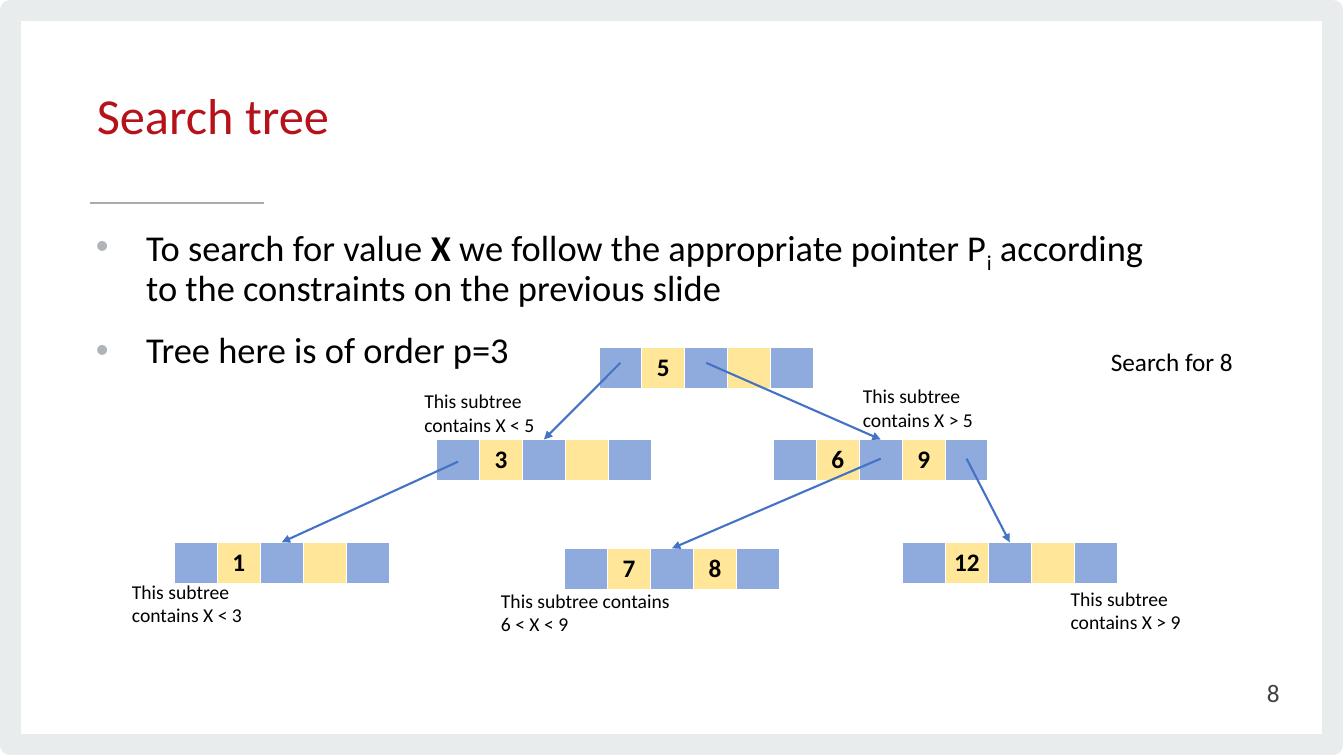
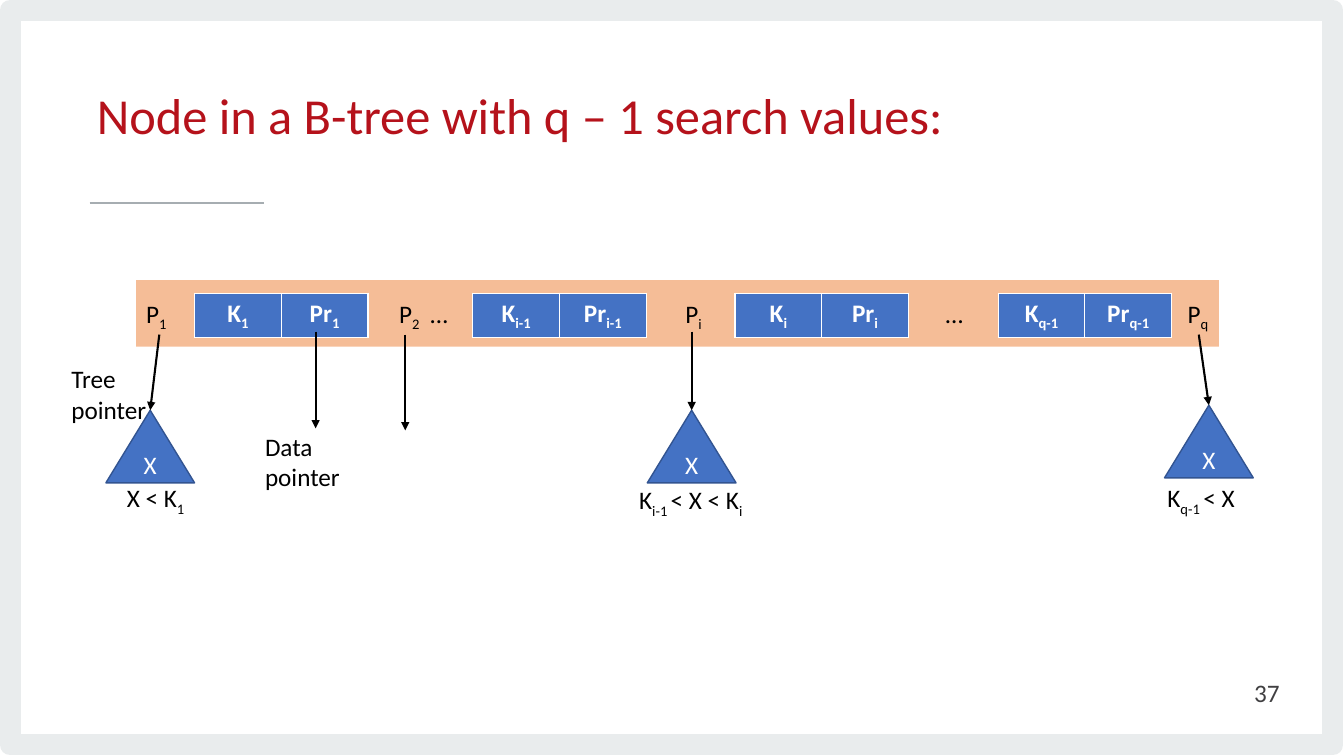
from lxml import etree
from pptx import Presentation
from pptx.dml.color import RGBColor
from pptx.enum.shapes import MSO_CONNECTOR, MSO_SHAPE
from pptx.enum.text import MSO_ANCHOR, MSO_AUTO_SIZE, PP_ALIGN
from pptx.oxml.ns import qn
from pptx.util import Inches, Pt

FONT = "Calibri"
BLACK = RGBColor(0x00, 0x00, 0x00)
WHITE = RGBColor(0xFF, 0xFF, 0xFF)
TITLE_RED = RGBColor(0xB5, 0x12, 0x1B)
FRAME_GREY = RGBColor(0xE9, 0xEC, 0xED)
RULE_GREY = RGBColor(0xA6, 0xAD, 0xB1)
NUMBER_GREY = RGBColor(0x41, 0x40, 0x42)
BULLET_GREY = RGBColor(0xAE, 0xB4, 0xB9)
BLUE = RGBColor(0x44, 0x72, 0xC4)
DARK_BLUE = RGBColor(0x32, 0x54, 0x91)
POINTER_BLUE = RGBColor(0x8F, 0xAA, 0xDC)
KEY_YELLOW = RGBColor(0xFF, 0xE6, 0x99)
ORANGE = RGBColor(0xED, 0x7D, 0x31)

TITLE_AND_CONTENT, TITLE_ONLY = 1, 5
NODE_WIDTH, ROW_HEIGHT = 2.13, 0.41
CELL_WIDTH = NODE_WIDTH / 5
PAIR_WIDTH, PAIR_TOP = 1.72, 2.91


# Text
def write(paragraph, text):
    """Add text to a paragraph; parts between bars are subscripts."""
    for index, part in enumerate(text.split("|")):
        if part:
            run = paragraph.add_run()
            run.text = part
            if index % 2:
                run._r.get_or_add_rPr().set("baseline", "-25000")


def style(paragraph, size=18, color=BLACK, align=PP_ALIGN.LEFT, bold=None):
    paragraph.alignment = align
    font = paragraph.font
    font.name, font.size, font.bold = FONT, Pt(size), bold
    font.color.rgb = color


def place(shape, left, top, width, height):
    shape.left, shape.top = Inches(left), Inches(top)
    shape.width, shape.height = Inches(width), Inches(height)


def add_label(slide, left, top, width, height, text, size=18, wrap=True):
    label = slide.shapes.add_textbox(
        Inches(left), Inches(top), Inches(width), Inches(height))
    frame = label.text_frame
    frame.word_wrap = wrap
    frame.auto_size = MSO_AUTO_SIZE.SHAPE_TO_FIT_TEXT
    write(frame.paragraphs[0], text)
    style(frame.paragraphs[0], size)


def add_bullet(paragraph):
    properties = paragraph._p.get_or_add_pPr()
    properties.set("marL", str(Inches(0.5)))
    properties.set("indent", str(-Inches(0.5)))
    color = etree.SubElement(properties, qn("a:buClr"))
    etree.SubElement(color, qn("a:srgbClr"), val=str(BULLET_GREY))
    etree.SubElement(properties, qn("a:buChar"), char="•")
    paragraph.line_spacing = 0.9
    paragraph.space_after = Pt(6)


# Lines and shapes
def add_line(slide, start, end, color, width):
    line = slide.shapes.add_connector(
        MSO_CONNECTOR.STRAIGHT, *(Inches(value) for value in (*start, *end)))
    line.line.color.rgb = color
    line.line.width = Pt(width)
    etree.SubElement(line._element.spPr, qn("a:effectLst"))
    return line


def add_arrow(slide, start, end, color):
    arrow = add_line(slide, start, end, color, 1.5)
    etree.SubElement(arrow.line._get_or_add_ln(), qn("a:tailEnd"), type="triangle")
    return arrow


def add_plain_shape(slide, kind, left, top, width, height, fill=None):
    shape = slide.shapes.add_shape(
        kind, Inches(left), Inches(top), Inches(width), Inches(height))
    shape.shadow.inherit = False
    if fill is None:
        shape.fill.background()
    else:
        shape.fill.solid()
        shape.fill.fore_color.rgb = fill
    return shape


def add_subtree(slide, left, top):
    subtree = add_plain_shape(
        slide, MSO_SHAPE.ISOSCELES_TRIANGLE, left, top, 0.88, 0.72, BLUE)
    subtree.line.color.rgb = DARK_BLUE
    subtree.line.width = Pt(1)
    subtree.text_frame.vertical_anchor = MSO_ANCHOR.MIDDLE
    paragraph = subtree.text_frame.paragraphs[0]
    write(paragraph, "X")
    style(paragraph, color=WHITE, align=PP_ALIGN.CENTER)
    return subtree


# One-row tables
def add_row(slide, left, top, width, texts, fills, color, margin):
    table = slide.shapes.add_table(
        1, len(texts), Inches(left), Inches(top), Inches(width),
        Inches(ROW_HEIGHT)).table
    table.horz_banding = False
    for cell, text, fill in zip(table.rows[0].cells, texts, fills):
        cell.fill.solid()
        cell.fill.fore_color.rgb = fill
        cell.margin_left = cell.margin_right = Inches(margin)
        paragraph = cell.text_frame.paragraphs[0]
        write(paragraph, text)
        style(paragraph, color=color, align=PP_ALIGN.CENTER, bold=True)


def add_tree_node(slide, left, top, first, second):
    fills = [POINTER_BLUE, KEY_YELLOW] * 2 + [POINTER_BLUE]
    add_row(slide, left, top, NODE_WIDTH, ["", first, "", second, ""],
            fills, BLACK, 0.02)


# Shared parts
def decorate_master(presentation, slide):
    frame = add_plain_shape(slide, MSO_SHAPE.RECTANGLE, 0.1, 0.1, 13.12, 7.29)
    frame.line.color.rgb = FRAME_GREY
    frame.line.width = Pt(15.11)
    rule = add_line(slide, (0.89, 2.01), (2.62, 2.01), RULE_GREY, 1.33)
    for shared in (frame, rule):
        presentation.slide_master.shapes._spTree.append(shared._element)


def add_slide(presentation, layout, title, number):
    slide = presentation.slides.add_slide(presentation.slide_layouts[layout])
    heading = slide.shapes.title
    place(heading, 0.86, 0.52, 8.79, 1.34)
    heading.text_frame.auto_size = MSO_AUTO_SIZE.NONE
    heading.text_frame.vertical_anchor = MSO_ANCHOR.MIDDLE
    paragraph = heading.text_frame.paragraphs[0]
    write(paragraph, title)
    paragraph.line_spacing = Pt(34.7)
    style(paragraph, 36, TITLE_RED)

    page = slide.shapes.add_textbox(
        Inches(9.79), Inches(6.67), Inches(3), Inches(0.4)).text_frame
    page.word_wrap = True
    page.vertical_anchor = MSO_ANCHOR.MIDDLE
    write(page.paragraphs[0], number)
    style(page.paragraphs[0], color=NUMBER_GREY, align=PP_ALIGN.RIGHT)
    return slide


# Slides
def fill_search_tree(slide):
    body = slide.placeholders[1]
    place(body, 0.85, 2.19, 10.65, 4.56)
    frame = body.text_frame
    frame.auto_size = MSO_AUTO_SIZE.NONE
    search, order = frame.paragraphs[0], frame.add_paragraph()
    write(search, "To search for value ")
    write(search, "X")
    search.runs[-1].font.bold = True
    write(search, " we follow the appropriate pointer P|i| according"
                  " to the constraints on the previous slide")
    write(order, "Tree here is of order p=3")
    for paragraph, space_before in ((search, 0), (order, 10)):
        add_bullet(paragraph)
        paragraph.space_before = Pt(space_before)
        style(paragraph, 26)

    # Left, top and the two keys of each node
    nodes = {
        "root": (5.94, 3.45, "5", ""),
        "low": (4.33, 4.36, "3", ""),
        "high": (7.67, 4.36, "6", "9"),
        "below 3": (1.73, 5.38, "1", ""),
        "6 to 9": (5.6, 5.44, "7", "8"),
        "above 9": (8.95, 5.38, "12", ""),
    }
    for node in nodes.values():
        add_tree_node(slide, *node)

    # Parent, pointer number, drop below the parent's top, child
    for parent, pointer, drop, child in (
            ("root", 0, 0.15, "low"), ("root", 1, 0.15, "high"),
            ("low", 0, 0.22, "below 3"), ("high", 1, 0.19, "6 to 9"),
            ("high", 2, 0.19, "above 9")):
        left, top = nodes[parent][:2]
        child_left, child_top = nodes[child][:2]
        start = (left + (2 * pointer + 0.5) * CELL_WIDTH, top + drop)
        add_arrow(slide, start, (child_left + NODE_WIDTH / 2, child_top), BLUE)

    for left, top, width, limits in (
            (4.11, 3.81, 1.46, "X < 5"), (1.21, 5.7, 1.46, "X < 3"),
            (4.87, 5.79, 1.9, "6 < X < 9"), (8.46, 3.76, 1.46, "X > 5"),
            (10.52, 5.77, 1.46, "X > 9")):
        add_label(slide, left, top, width, 0.57,
                  f"This subtree contains {limits}", 14)
    add_label(slide, 10.92, 3.39, 1.43, 0.4, "Search for 8", wrap=False)


def fill_node_structure(slide):
    band = add_plain_shape(
        slide, MSO_SHAPE.RECTANGLE, 1.35, 2.78, 10.74, 0.66, ORANGE)
    band.line.fill.background()
    band_color = band._element.spPr.find(".//" + qn("a:srgbClr"))
    etree.SubElement(band_color, qn("a:alpha"), val="50000")

    # Key and data pointer pairs, with tree pointers between them
    for left, index in ((1.93, "1"), (4.69, "i-1"), (7.29, "i"), (9.9, "q-1")):
        add_row(slide, left, PAIR_TOP, PAIR_WIDTH, [f"K|{index}|", f"Pr|{index}|"],
                [BLUE] * 2, WHITE, 0.03)
    for left, width, text in (
            (1.35, 0.42, "P|1|"), (3.86, 0.42, "P|2|"), (4.17, 0.38, "…"),
            (6.7, 0.37, "P|i|"), (9.28, 0.38, "…"), (11.68, 0.42, "P|q|")):
        add_label(slide, left, PAIR_TOP, width, 0.4, text, wrap=False)

    # Subtrees, each with the arrow that leads to its top
    for left, top, start in (
            (1.05, 4.07, (1.58, 3.32)), (6.42, 4.07, (6.86, 3.29)),
            (11.55, 4.02, (11.89, 3.32))):
        subtree = add_subtree(slide, left, top)
        arrow = add_arrow(slide, start, (left + 0.44, top), BLACK)
        arrow.end_connect(subtree, 0)
    for x, top, bottom in ((3.13, 3.29, 4.25), (4.02, 3.32, 4.27)):
        add_arrow(slide, (x, top), (x, bottom), BLACK)

    for left, top, width, height, text in (
            (1.16, 4.74, 1.07, 0.4, "X < K|1|"),
            (6.24, 4.76, 1.31, 0.4, "K|i-1 |< X < K|i|"),
            (11.48, 4.74, 1.31, 0.4, "K|q-1 |< X"),
            (0.61, 3.56, 0.99, 0.71, "Tree pointer"),
            (2.53, 4.23, 0.99, 0.71, "Data pointer")):
        add_label(slide, left, top, width, height, text)


def main():
    presentation = Presentation()
    presentation.slide_width = Inches(13.33)
    presentation.slide_height = Inches(7.5)
    search_tree = add_slide(presentation, TITLE_AND_CONTENT, "Search tree", "8")
    decorate_master(presentation, search_tree)
    fill_search_tree(search_tree)
    node_structure = add_slide(
        presentation, TITLE_ONLY, "Node in a B-tree with q – 1 search values:", "37")
    fill_node_structure(node_structure)
    presentation.save("out.pptx")


if __name__ == "__main__":
    main()
